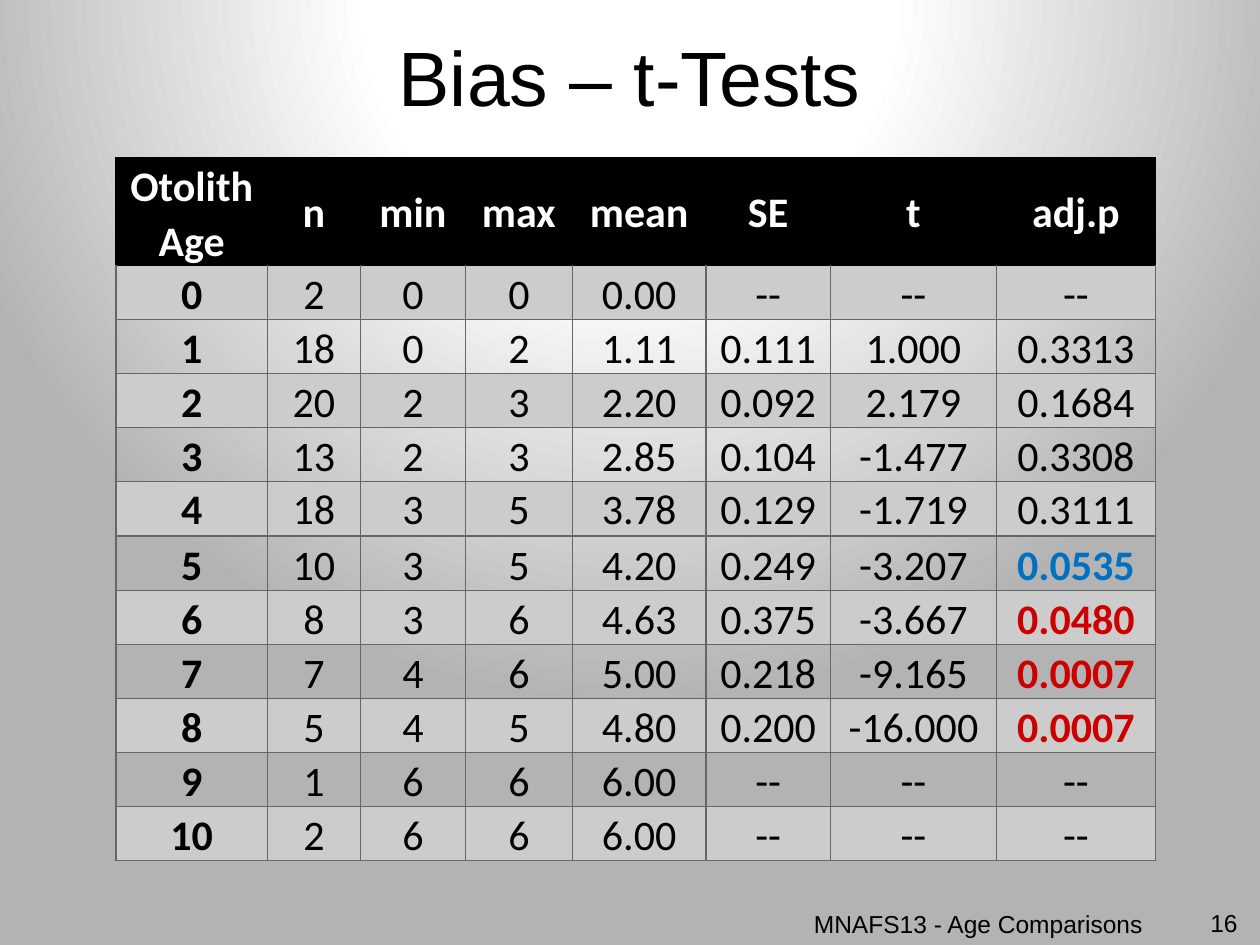
from pptx import Presentation
from pptx.dml.color import RGBColor
from pptx.enum.text import MSO_ANCHOR, PP_ALIGN
from pptx.oxml import parse_xml
from pptx.oxml.ns import nsdecls
from pptx.util import Cm, Pt

CENTER, RIGHT = PP_ALIGN.CENTER, PP_ALIGN.RIGHT
TOP, MIDDLE = MSO_ANCHOR.TOP, MSO_ANCHOR.MIDDLE

BLACK = RGBColor(0x00, 0x00, 0x00)
WHITE = RGBColor(0xFF, 0xFF, 0xFF)
GREY = RGBColor(0xB3, 0xB3, 0xB3)
BAND = RGBColor(0xCC, 0xCC, 0xCC)
GRID = RGBColor(0x66, 0x66, 0x66)
BLUE = RGBColor(0x00, 0x70, 0xC0)
RED = RGBColor(0xCC, 0x00, 0x00)

TABLE_LEFT = 2.34
COL_WIDTHS = [3.05, 1.88, 2.11, 2.16, 2.69, 2.51, 3.35, 3.2]
HEADER_HEIGHT, ROW_HEIGHT = 2.16, 1.07

HEADER = ["Otolith\nAge", "n", "min", "max", "mean", "SE", "t", "adj.p"]
YOUNG_AGES = [
    ["0", "2", "0", "0", "0.00", "--", "--", "--"],
    ["1", "18", "0", "2", "1.11", "0.111", "1.000", "0.3313"],
    ["2", "20", "2", "3", "2.20", "0.092", "2.179", "0.1684"],
    ["3", "13", "2", "3", "2.85", "0.104", "-1.477", "0.3308"],
    ["4", "18", "3", "5", "3.78", "0.129", "-1.719", "0.3111"],
]
OLD_AGES = [
    ["5", "10", "3", "5", "4.20", "0.249", "-3.207", "0.0535"],
    ["6", "8", "3", "6", "4.63", "0.375", "-3.667", "0.0480"],
    ["7", "7", "4", "6", "5.00", "0.218", "-9.165", "0.0007"],
    ["8", "5", "4", "5", "4.80", "0.200", "-16.000", "0.0007"],
    ["9", "1", "6", "6", "6.00", "--", "--", "--"],
    ["10", "2", "6", "6", "6.00", "--", "--", "--"],
]
P_COLORS = {"0.0535": BLUE, "0.0480": RED, "0.0007": RED}


def write_text(tf, text, size=24, font="Calibri", color=BLACK, bold=False,
               align=CENTER, spacing=None):
    """Fill a text frame, one paragraph for each line of text."""
    for i, line in enumerate(text.split("\n")):
        p = tf.add_paragraph() if i else tf.paragraphs[0]
        p.alignment = align
        p.line_spacing = spacing
        r = p.add_run()
        r.text = line
        r.font.size = Pt(size)
        r.font.name = font
        r.font.bold = bold
        r.font.color.rgb = color


def add_text_box(s, left, top, width, height, text, anchor=TOP, **text_format):
    sp = s.shapes.add_textbox(Cm(left), Cm(top), Cm(width), Cm(height))
    tf = sp.text_frame
    tf.word_wrap = True
    tf.vertical_anchor = anchor
    write_text(tf, text, font="Arial", **text_format)


def set_background(s):
    """Radial gradient centred above the slide."""
    stops = "".join(
        f'<a:gs pos="{pos * 1000}"><a:srgbClr val="{color}"/></a:gs>'
        for pos, color in [(0, WHITE), (33, WHITE), (90, GREY)])
    s._element.cSld.insert(0, parse_xml(
        f'<p:bg {nsdecls("p", "a")}><p:bgPr>'
        f'<a:gradFill rotWithShape="1"><a:gsLst>{stops}</a:gsLst>'
        '<a:path path="circle">'
        '<a:fillToRect l="50000" t="-80000" r="50000" b="180000"/>'
        '</a:path></a:gradFill><a:effectLst/></p:bgPr></p:bg>'))


def set_borders(cell, **colors):
    """Draw 1 pt borders; keys are the sides L, R, T and B, in that order."""
    tc_pr = cell._tc.get_or_add_tcPr()
    for i, (side, color) in enumerate(colors.items()):
        tc_pr.insert(i, parse_xml(
            f'<a:ln{side} {nsdecls("a")} w="12700"><a:solidFill>'
            f'<a:srgbClr val="{color}"/></a:solidFill></a:ln{side}>'))


def format_cell(cell, text, fill=None, anchor=TOP, **text_format):
    cell.margin_left = cell.margin_right = Cm(0.18)
    cell.margin_top = cell.margin_bottom = 0
    cell.vertical_anchor = anchor
    if fill is None:
        cell.fill.background()
    else:
        cell.fill.solid()
        cell.fill.fore_color.rgb = fill
    write_text(cell.text_frame, text, spacing=1.07, **text_format)


def add_age_table(s, top, rows, header=None):
    heights = ([HEADER_HEIGHT] if header else []) + [ROW_HEIGHT] * len(rows)
    table = s.shapes.add_table(
        len(heights), len(COL_WIDTHS), Cm(TABLE_LEFT), Cm(top),
        Cm(sum(COL_WIDTHS)), Cm(sum(heights))).table
    table.first_row = table.horz_banding = False
    for col, width in zip(table.columns, COL_WIDTHS):
        col.width = Cm(width)
    for row, height in zip(table.rows, heights):
        row.height = Cm(height)

    # Header row
    first = 0
    if header:
        first = 1
        for c, text in enumerate(header):
            cell = table.cell(0, c)
            format_cell(cell, text, fill=BLACK, anchor=MIDDLE,
                        color=WHITE, bold=True)
            set_borders(cell, L=BLACK, R=BLACK, T=BLACK, B=BLACK)

    # Data rows: even ages are banded, notable p-values are coloured
    for r, values in enumerate(rows, first):
        fill = BAND if int(values[0]) % 2 == 0 else None
        top_color = BLACK if header and r == first else GRID
        for c, text in enumerate(values):
            cell = table.cell(r, c)
            format_cell(cell, text, fill=fill,
                        color=P_COLORS.get(text, BLACK),
                        bold=c == 0 or text in P_COLORS)
            set_borders(cell, L=GRID, R=GRID, T=top_color, B=GRID)


def main():
    prs = Presentation()
    prs.slide_width, prs.slide_height = Cm(25.4), Cm(19.05)
    s = prs.slides.add_slide(prs.slide_layouts[6])
    set_background(s)

    # Title
    add_text_box(s, 0.18, 0.33, 25.04, 2.41, "Bias – t-Tests",
                 anchor=MIDDLE, size=44)

    # Footer and slide number
    add_text_box(s, 15.24, 18.21, 8.05, 0.64, "MNAFS13 - Age Comparisons",
                 size=14, align=RIGHT)
    add_text_box(s, 23.5, 18.19, 1.7, 0.86, "16", size=14, align=RIGHT)

    # Test results by otolith age
    add_age_table(s, 3.18, YOUNG_AGES, header=HEADER)
    add_age_table(s, 10.82, OLD_AGES)

    prs.save("out.pptx")


if __name__ == "__main__":
    main()
